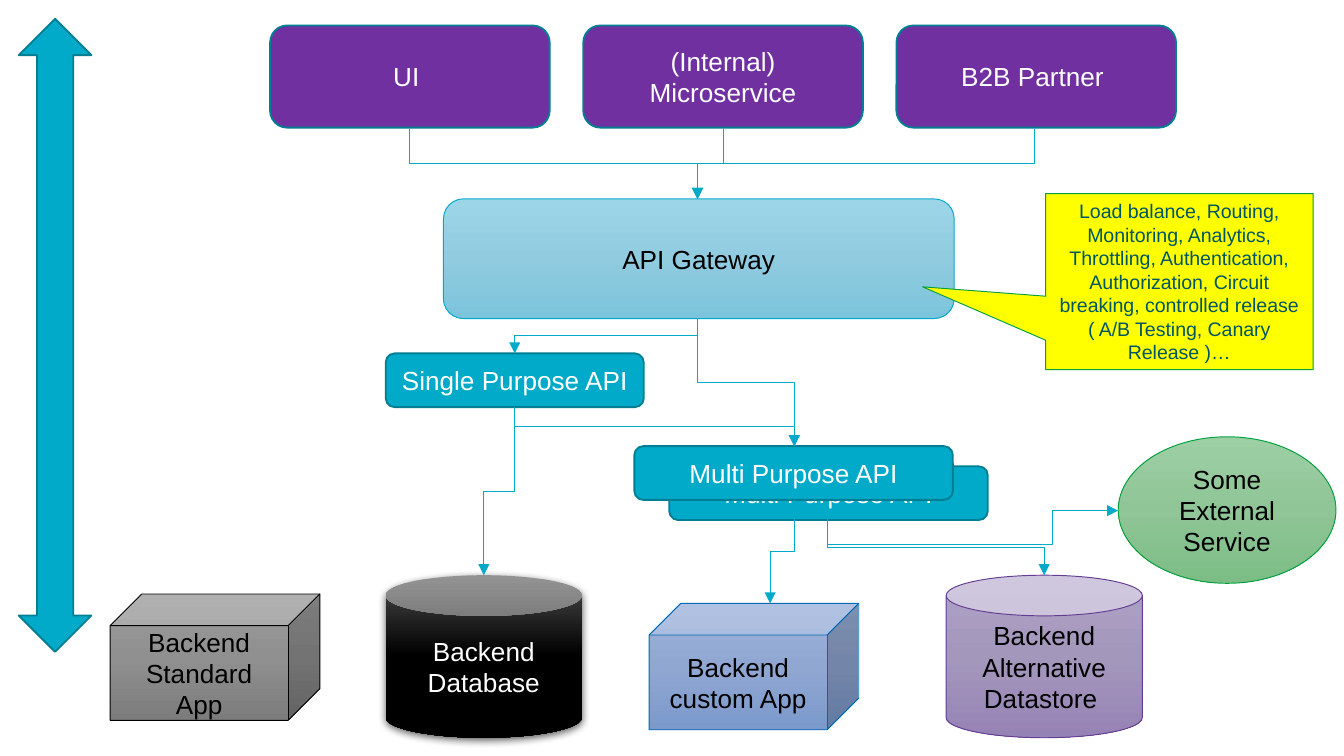
"""Build a slide of an API gateway between clients and backend systems."""
import copy

import lxml.etree
import pptx
import pptx.dml.color
import pptx.enum.shapes
import pptx.enum.text
import pptx.oxml.ns
import pptx.util

Inches, Pt = pptx.util.Inches, pptx.util.Pt
qn = pptx.oxml.ns.qn
KIND = pptx.enum.shapes.MSO_SHAPE
ELBOW = pptx.enum.shapes.MSO_CONNECTOR.ELBOW

HUES = {
    "white": "FFFFFF", "black": "000000", "cyan": "00AAC8", "teal": "007E94",
    "purple": "7030A0", "yellow": "FFFF00", "green": "00A03C",
    "violet": "643C91", "blue": "0069B4", "ink": "005564",
}
FADES = {
    "sky": ("9DD5E8", "90CBDF", "7CC4DB"),
    "coal": ("4B4B4B", "000000", "000000"),
    "lilac": ("B0A3C7", "A497BC", "9683B5"),
    "steel": ("9DB2DB", "90A7D2", "7C99CC"),
    "grey": ("9D9D9D", "909090", "7C7C7C"),
    "leaf": ("9DCFA4", "90C597", "7CBD85"),
}


def rgb(code):
    return pptx.dml.color.RGBColor.from_string(code)


def add_box(kind, place, fill, edge, text="", ink="white", size=14):
    box = slide.shapes.add_shape(kind, *map(Inches, place))
    box.shadow.inherit = False
    if fill in FADES:
        box.fill.gradient()
        box.fill.gradient_angle = 270
        stops = box._element.spPr.find(".//" + qn("a:gsLst"))
        stops.insert(1, copy.deepcopy(stops[0]))
        for stop, code, spot in zip(box.fill.gradient_stops, FADES[fill], (0, 0.5, 1)):
            stop.color.rgb = rgb(code)
            stop.position = spot
    else:
        box.fill.solid()
        box.fill.fore_color.rgb = rgb(HUES[fill])
    if edge:
        box.line.color.rgb = rgb(HUES[edge])
        box.line.width = Pt(1 if edge == "teal" else 0.5)
    else:
        box.line.fill.background()
    if text:
        frame = box.text_frame
        frame.word_wrap = True
        frame.vertical_anchor = pptx.enum.text.MSO_ANCHOR.MIDDLE
        para = frame.paragraphs[0]
        para.alignment = pptx.enum.text.PP_ALIGN.CENTER
        run = para.add_run()
        run.text = text
        for name, value in {"name": "Arial", "size": Pt(size)}.items():
            setattr(run.font, name, value)
        run.font.color.rgb = rgb(HUES[ink])
    return box


deck = pptx.Presentation()
deck.slide_width = Inches(10)
deck.slide_height = deck.slide_width * 9 // 16
slide = deck.slides.add_slide(deck.slide_layouts[6])

ROUND, CAN, CUBE = KIND.ROUNDED_RECTANGLE, KIND.CAN, KIND.CUBE
add_box(ROUND, (4.98, 3.47, 2.37, 0.4), "cyan", "teal", "Multi Purpose API")
add_box(ROUND, (3.3, 1.48, 3.8, 0.89), "sky", "cyan", "API Gateway", "black")
store = add_box(CAN, (2.87, 4.28, 1.46, 1.21), "coal", None, "Backend Database")
add_box(CAN, (7.04, 4.28, 1.46, 1.21), "lilac", "violet",
        "Backend Alternative Datastore ", "black")
add_box(CUBE, (4.83, 4.49, 1.56, 0.94), "steel", "blue", "Backend custom App", "black")
add_box(CUBE, (0.82, 4.42, 1.56, 0.94), "grey", "black", "Backend Standard App", "black")
for left, text in ((2.01, "UI "), (6.67, "B2B Partner "), (4.34, "(Internal) Microservice")):
    add_box(ROUND, (left, 0.19, 2.08, 0.76), "purple", "teal", text)
add_box(KIND.OVAL, (8.32, 3.25, 1.62, 1.09), "leaf", "green",
        "Some External Service", "black")
add_box(ROUND, (2.87, 2.63, 1.92, 0.4), "cyan", "teal", "Single Purpose API")
add_box(ROUND, (4.72, 3.32, 2.37, 0.4), "cyan", "teal", "Multi Purpose API")

glow = lxml.etree.SubElement(
    store._element.spPr.find(qn("a:effectLst")), qn("a:outerShdw"),
    blurRad=str(Pt(4.5)), dist=str(Pt(1.5)), dir="5400000", rotWithShape="0")
shade = lxml.etree.SubElement(glow, qn("a:srgbClr"), val=HUES["black"])
lxml.etree.SubElement(shade, qn("a:alpha"), val="63000")

wires = [
    (3.05, 0.96, 5.19, 1.48), (5.38, 0.96, 5.19, 1.48), (7.7, 0.96, 5.19, 1.48),
    (5.19, 2.37, 3.83, 2.63), (5.19, 2.37, 5.91, 3.32), (3.83, 3.03, 5.91, 3.32),
    (5.91, 3.72, 5.73, 4.49), (6.16, 3.86, 8.32, 3.8), (6.16, 3.86, 7.77, 4.28),
    (3.83, 3.03, 3.6, 4.28),
]
for left, top, right, low in wires:
    midx, midy = (left + right) / 2, (top + low) / 2
    runx, runy = (right - left) / 2, (low - top) / 2
    wire = slide.shapes.add_connector(
        ELBOW, Inches(midx - runy), Inches(midy + runx),
        Inches(midx + runy), Inches(midy - runx))
    wire.line.color.rgb = rgb(HUES["cyan"])
    wire.line.width = Pt(0.5)
    props = wire._element.spPr
    props.find(qn("a:xfrm")).set("rot", "5400000")
    lxml.etree.SubElement(props.find(qn("a:ln")), qn("a:tailEnd"), type="triangle")
    lxml.etree.SubElement(props, qn("a:effectLst"))
    if low < top:
        shape = props.find(qn("a:prstGeom"))
        shape.set("prst", "bentConnector4")
        bends = shape.find(qn("a:avLst"))
        for name, value in (("adj1", -317000), ("adj2", 77400)):
            lxml.etree.SubElement(bends, qn("a:gd"), name=name, fmla=f"val {value}")

note = add_box(
    KIND.RECTANGULAR_CALLOUT, (7.78, 1.44, 1.99, 1.31), "yellow", "green",
    "Load balance, Routing, Monitoring, Analytics, Throttling, Authentication, "
    "Authorization, Circuit breaking, controlled release "
    "( A/B Testing, Canary Release )…", "ink", 10.5)
note.adjustments[0], note.adjustments[1] = -0.96, 0.03
add_box(KIND.UP_DOWN_ARROW, (0.14, 0.14, 0.54, 4.71), "cyan", "teal")

deck.save("out.pptx")
